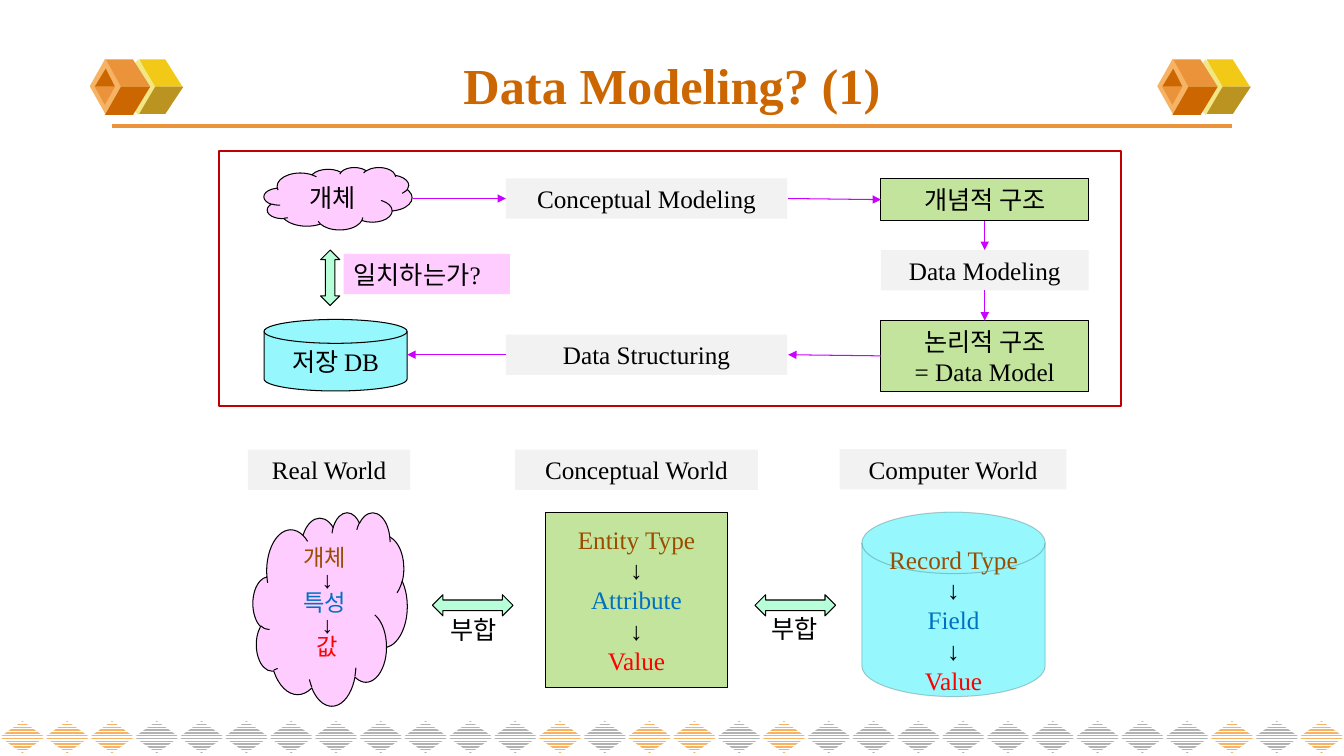
from dataclasses import dataclass
from typing import Optional

from lxml.etree import SubElement
from pptx import Presentation
from pptx.dml.color import RGBColor
from pptx.enum.shapes import MSO_CONNECTOR, MSO_SHAPE
from pptx.enum.text import MSO_ANCHOR as Anchor, PP_ALIGN as Align
from pptx.oxml.ns import qn
from pptx.util import Pt

FONT = "Times New Roman"
WHITE = RGBColor(0xFF, 0xFF, 0xFF)
BLACK = RGBColor(0, 0, 0)
BROWN = RGBColor(0x99, 0x4D, 0x00)
BLUE = RGBColor(0x00, 0x70, 0xC0)
RED = RGBColor(0xFF, 0x00, 0x00)
DARK_RED = RGBColor(0xC0, 0x00, 0x00)
PINK = RGBColor(0xFF, 0xCC, 0xFF)
GREEN = RGBColor(0xC2, 0xE4, 0x9C)
MINT = RGBColor(0xB7, 0xFF, 0xD8)
CYAN = RGBColor(0x96, 0xF7, 0xFC)
PALE_GREY = RGBColor(0xF2, 0xF2, 0xF2)
PURPLE = RGBColor(0xCC, 0x00, 0xFF)
DARK_ORANGE = RGBColor(0xCC, 0x66, 0x00)
ORANGE = RGBColor(0xEB, 0x93, 0x3B)
LIGHT_ORANGE = RGBColor(0xF5, 0xB3, 0x63)
GOLD = RGBColor(0xF3, 0xC9, 0x17)
DARK_GOLD = RGBColor(0xBB, 0x93, 0x21)
PALE_GOLD = RGBColor(0xF1, 0xE7, 0x85)
GREY = RGBColor(0xB2, 0xB2, 0xB2)

RECT = MSO_SHAPE.RECTANGLE
CLOUD = MSO_SHAPE.CLOUD
DISK = MSO_SHAPE.FLOWCHART_MAGNETIC_DISK
DIAMOND = MSO_SHAPE.DIAMOND
WIDE_ARROW = MSO_SHAPE.LEFT_RIGHT_ARROW
TALL_ARROW = MSO_SHAPE.UP_DOWN_ARROW

Box = tuple[float, float, float, float]
Point = tuple[float, float]
LEVEL_COLOURS = (BROWN, BLACK, BLUE, BLACK, RED)
ORANGE_DIAMONDS = (0, 1, 2, 12, 14, 15, 17, 27, 29)


@dataclass
class Node:
    kind: MSO_SHAPE
    box: Box
    fill: Optional[RGBColor]
    text: str = ""
    line: Optional[RGBColor] = BLACK
    line_width: float = 0.75
    line_alpha: int = 100
    colours: tuple[RGBColor, ...] = (BLACK,)
    size: float = 18
    spacing: Optional[float] = None
    align: Align = Align.CENTER
    anchor: Anchor = Anchor.MIDDLE


@dataclass
class Facet:
    colour: RGBColor
    points: tuple[Point, ...]


def label(box: Box, text: str, fill: Optional[RGBColor] = PALE_GREY,
          align: Align = Align.CENTER) -> Node:
    return Node(RECT, box, fill, text, line=None, align=align, anchor=Anchor.TOP)


CUBE_BACK = [
    Facet(GOLD, ((110.9, 61.9), (130.3, 61.9), (118.1, 42.5), (99.4, 42.5))),
    Facet(DARK_GOLD, ((110.9, 61.9), (131, 61.9), (118.1, 81.4), (99.4, 81.4))),
]
CUBE_FRONT = [
    Facet(ORANGE, ((86.4, 61.9), (107.3, 61.9), (95, 42.5), (75.6, 42.5))),
    Facet(DARK_ORANGE, ((86.4, 61.9), (107.3, 61.9), (95, 82.1), (74.9, 82.1))),
    Facet(DARK_ORANGE, ((75.6, 49), (67.7, 61.9), (82.1, 61.9))),
    Facet(ORANGE, ((74.9, 74.9), (67.7, 61.9), (82.1, 61.9))),
]

NODES = [
    Node(CLOUD, (180.7, 365.8, 110.2, 138.2), PINK, "개체\n ↓\n특성\n ↓\n 값",
         colours=LEVEL_COLOURS, size=16.6, spacing=0.8),
    Node(RECT, (389.5, 365.8, 130.3, 125.3), GREEN,
         "Entity Type\n↓\nAttribute\n↓\nValue", colours=LEVEL_COLOURS),
    Node(DISK, (615.6, 365.8, 131, 131.8), CYAN,
         "Record Type\n↓\nField\n↓\nValue", colours=LEVEL_COLOURS, line_alpha=20),
    Node(WIDE_ARROW, (308.9, 424.8, 57.6, 15.1), MINT),
    Node(WIDE_ARROW, (539.3, 424.8, 57.6, 15.1), MINT),
    label((177.1, 321.1, 115.9, 28.8), "Real World"),
    label((367.9, 321.1, 173.5, 28.8), "Conceptual World"),
    label((599.8, 320.8, 162, 28.8), "Computer World"),
    label((311, 435.6, 54, 28.8), "부합", None),
    label((540.7, 434.2, 54, 28.8), "부합", None),
    Node(CLOUD, (188.6, 119.5, 105.8, 44.6), PINK, "개체"),
    label((361.4, 127.4, 200.9, 28.8), "Conceptual Modeling"),
    Node(RECT, (629.3, 127.4, 148.3, 30.2), GREEN, "개념적 구조"),
    Node(RECT, (629.3, 229, 148.3, 50.9), GREEN, "논리적 구조\n= Data Model"),
    Node(DISK, (188.6, 228.2, 102.2, 51.1), CYAN, "저장 DB"),
    label((361.4, 239, 200.9, 28.8), "Data Structuring"),
    label((629.3, 178.6, 148.3, 28.8), "Data Modeling"),
    Node(TALL_ARROW, (229, 178.6, 13.7, 39.6), MINT),
    label((245.5, 181.4, 118.8, 28.8), "일치하는가?", PINK, Align.LEFT),
    Node(RECT, (156.2, 108, 644.4, 182.2), None, line=DARK_RED, line_width=1.5),
]

FLOWS: list[tuple[Point, Point]] = [
    ((295.2, 141.8), (361.4, 141.8)),
    ((563, 141.8), (629.3, 142.6)),
    ((703.4, 157.7), (703.4, 178.6)),
    ((703.4, 207.4), (703.4, 229)),
    ((629.3, 254.2), (563, 253.4)),
    ((361.4, 253.4), (290.9, 253.4)),
]


def write_text(shape, node: Node) -> None:
    frame = shape.text_frame
    frame.word_wrap = True
    frame.vertical_anchor = node.anchor
    frame.text = node.text
    for index, paragraph in enumerate(frame.paragraphs):
        paragraph.alignment = node.align
        paragraph.line_spacing = node.spacing
        for run in paragraph.runs:
            run.font.name = FONT
            run.font.size = Pt(node.size)
            run.font.color.rgb = node.colours[index % len(node.colours)]


def draw_node(shapes, node: Node) -> None:
    place = [Pt(value) for value in node.box]
    if node.fill is None and node.line is None:
        shape = shapes.add_textbox(*place)
    else:
        shape = shapes.add_shape(node.kind, *place)
        shape.shadow.inherit = False
    if node.fill is None:
        shape.fill.background()
    else:
        shape.fill.solid()
        shape.fill.fore_color.rgb = node.fill
    if node.line is None:
        shape.line.fill.background()
    else:
        shape.line.color.rgb = node.line
        shape.line.width = Pt(node.line_width)
        if node.line_alpha < 100:
            colour = shape.line._get_or_add_ln().find(".//" + qn("a:srgbClr"))
            SubElement(colour, qn("a:alpha"), val=str(node.line_alpha * 1000))
    if node.text:
        write_text(shape, node)


def draw_line(shapes, start: Point, end: Point, colour: RGBColor, width: float,
              arrow: bool = False) -> None:
    ends = [Pt(value) for value in (*start, *end)]
    connector = shapes.add_connector(MSO_CONNECTOR.STRAIGHT, *ends)
    connector.line.color.rgb = colour
    connector.line.width = Pt(width)
    if arrow:
        SubElement(connector.line._get_or_add_ln(), qn("a:tailEnd"), type="triangle")
    SubElement(connector._element.spPr, qn("a:effectLst"))


def draw_facet(shapes, facet: Facet, shift: float) -> None:
    points = [(Pt(x + shift), Pt(y)) for x, y in facet.points]
    builder = shapes.build_freeform(*points[0])
    builder.add_line_segments(points[1:])
    shape = builder.convert_to_shape()
    shape.shadow.inherit = False
    shape.fill.solid()
    shape.fill.fore_color.rgb = facet.colour
    shape.line.fill.background()


def draw_cube(shapes, shift: float) -> None:
    draw_node(shapes, Node(DIAMOND, (82.8 + shift, 42.5, 31.7, 39.6), PALE_GOLD, line=None))
    for facet in CUBE_BACK:
        draw_facet(shapes, facet, shift)
    draw_node(shapes, Node(DIAMOND, (64.1 + shift, 41.8, 22.3, 39.6), LIGHT_ORANGE, line=None))
    for facet in CUBE_FRONT:
        draw_facet(shapes, facet, shift)


def draw_diamond_border(shapes) -> None:
    for index in range(30):
        colour = LIGHT_ORANGE if index in ORANGE_DIAMONDS else GREY
        draw_node(shapes, Node(DIAMOND, (32 * index, 515, 32, 23), colour, line=None))
    for stripe in range(11):
        height = 516.5 + 2 * stripe
        draw_line(shapes, (0, height), (960, height), WHITE, 1)


def main() -> None:
    presentation = Presentation()
    presentation.slide_width, presentation.slide_height = Pt(960), Pt(540)
    slide = presentation.slides.add_slide(presentation.slide_layouts[5])
    shapes = slide.shapes
    title = shapes.title
    title.left, title.top, title.width, title.height = Pt(48), Pt(30), Pt(864), Pt(61.2)
    write_text(title, Node(RECT, (0, 0, 0, 0), None, "Data Modeling? (1)",
                           colours=(DARK_ORANGE,), size=36))
    title.text_frame.paragraphs[0].runs[0].font.bold = True
    draw_diamond_border(shapes)
    draw_line(shapes, (80, 90), (880, 90), ORANGE, 2.25)
    for shift in (0, 762.5):
        draw_cube(shapes, shift)
    for node in NODES:
        draw_node(shapes, node)
    for start, end in FLOWS:
        draw_line(shapes, start, end, PURPLE, 0.75, arrow=True)
    presentation.save("out.pptx")


if __name__ == "__main__":
    main()
